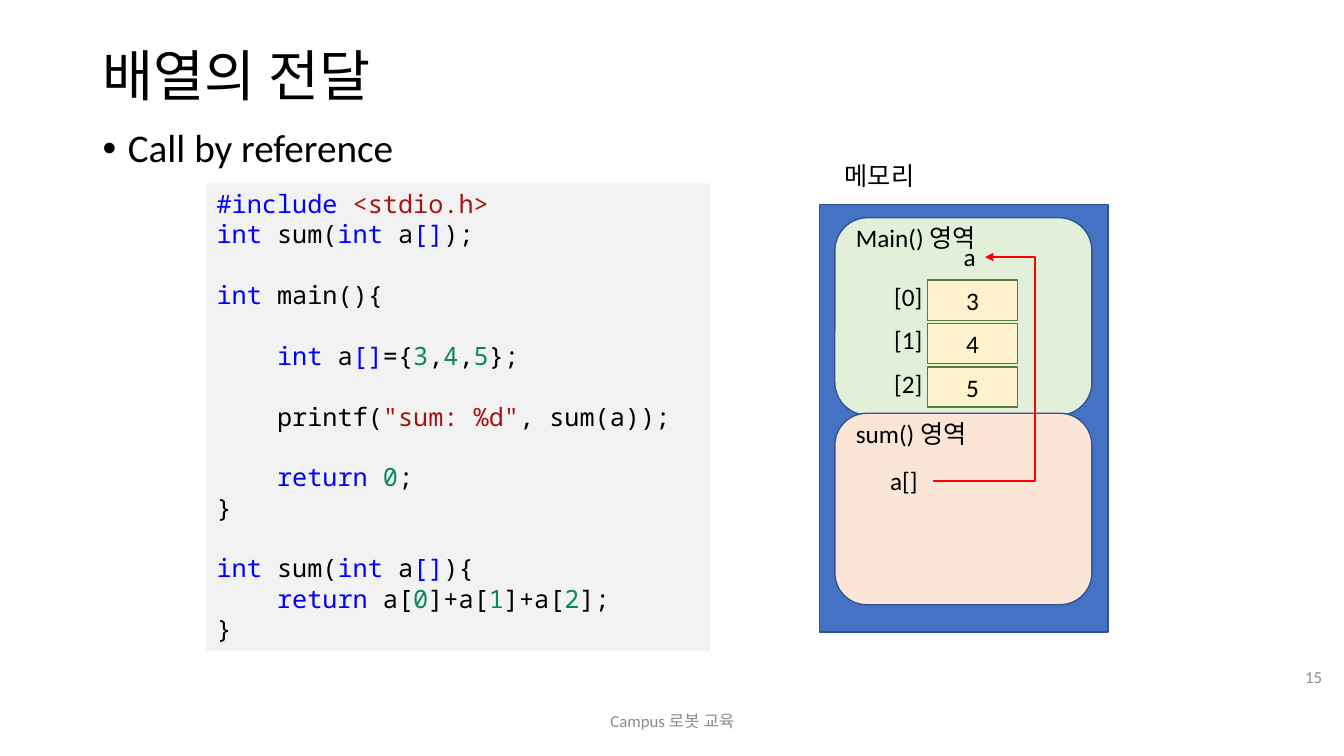
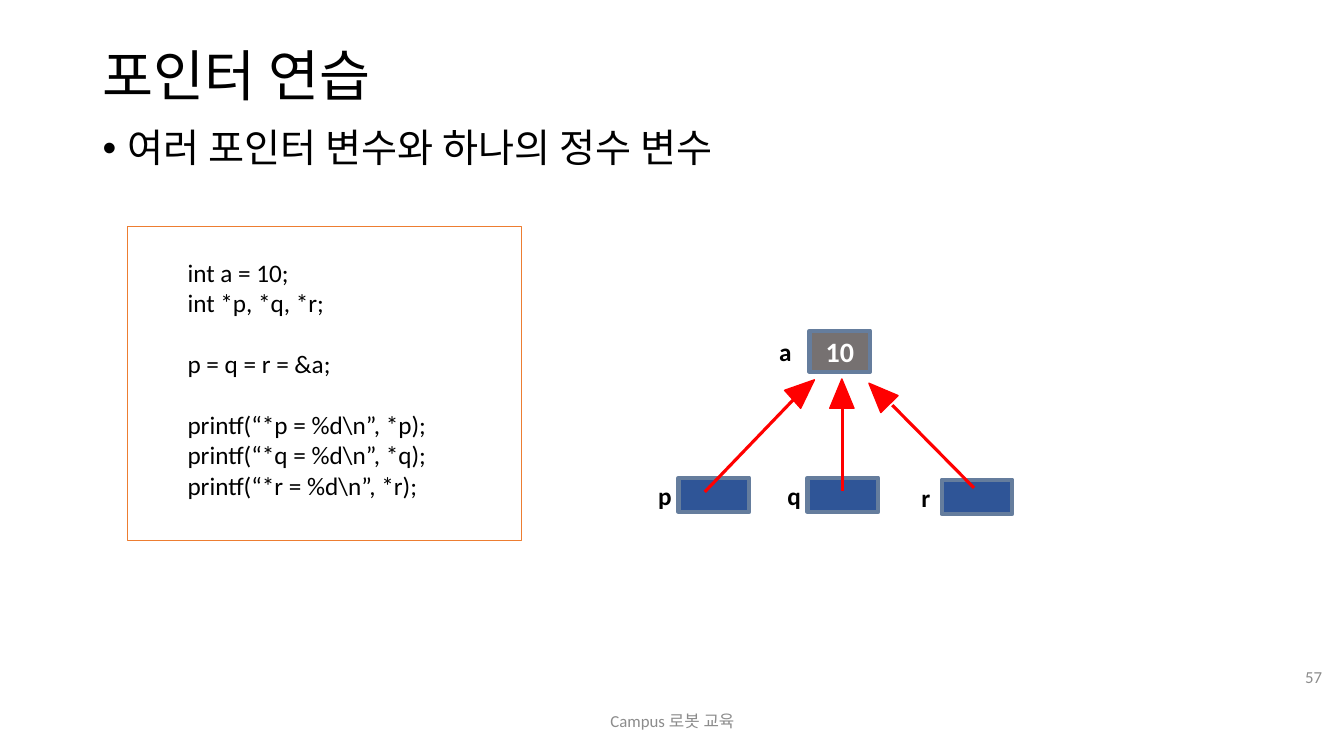
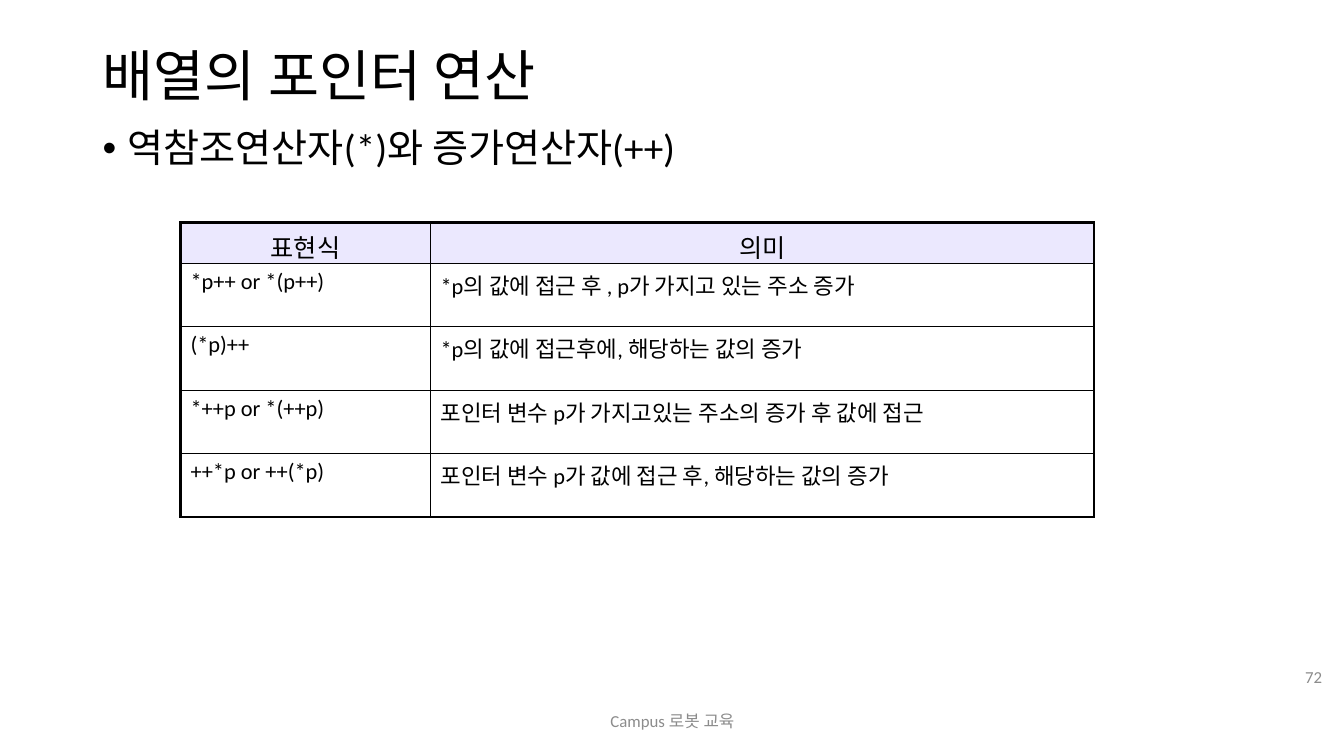
from lxml import etree
from pptx import Presentation
from pptx.dml.color import RGBColor
from pptx.enum.shapes import MSO_CONNECTOR, MSO_SHAPE
from pptx.enum.text import MSO_ANCHOR, PP_ALIGN
from pptx.oxml.ns import qn
from pptx.util import Inches, Pt

LEFT, CENTER, RIGHT = PP_ALIGN.LEFT, PP_ALIGN.CENTER, PP_ALIGN.RIGHT
TOP, MIDDLE = MSO_ANCHOR.TOP, MSO_ANCHOR.MIDDLE
RECT, ROUND = MSO_SHAPE.RECTANGLE, MSO_SHAPE.ROUNDED_RECTANGLE
TRIANGLE = MSO_SHAPE.ISOSCELES_TRIANGLE
STRAIGHT, ELBOW = MSO_CONNECTOR.STRAIGHT, MSO_CONNECTOR.ELBOW

FONT, MONO = "Calibri", "Noto Sans Mono"
BLACK, WHITE, GRAY, RED = "000000", "FFFFFF", "8C8C8C", "FF0000"
NAVY, STEEL = "325491", "657D9D"
KEYWORD, STRING, NUMBER = "0000FF", "A31515", "09885A"
FOOTER = "Campus 로봇 교육"
LINE_GAP = 21.8

TOKENS = {
    "#include": KEYWORD, "int": KEYWORD, "return": KEYWORD, "[]": KEYWORD,
    "<stdio.h>": STRING, '"sum: %d"': STRING,
    **{digit: NUMBER for digit in "012345"},
}
SUM_CODE = [
    (0, 0, "#include ~<stdio.h>"),
    (0, 0, "int~ sum(~int~ a~[]~);"),
    (1, 0, "int~ main(){"),
    (1, 1, "int~ a~[]~={~3~,~4~,~5~};"),
    (1, 1, 'printf(~"sum: %d"~, sum(a));'),
    (1, 1, "return ~0~;"),
    (0, 0, "}"),
    (1, 0, "int~ sum(~int~ a~[]~){"),
    (0, 1, "return~ a[~0~]+a[~1~]+a[~2~];"),
    (0, 0, "}"),
]
POINTER_CODE = [
    (0, "int a = 10;"),
    (0, "int *p, *q, *r;"),
    (1, "p = q = r = &a;"),
    (1, "printf(“*p = %d\\n”, *p);"),
    (0, "printf(“*q = %d\\n”, *q);"),
    (0, "printf(“*r = %d\\n”, *r);"),
]
POINTERS = [
    ("p", (0.3, 1.46), (0.56, 1.6), (1.54, 0.58), (1.42, 0.44), 48.2),
    ("q", (1.58, 1.46), (1.93, 1.59), (1.93, 0.69), (1.8, 0.48), 0),
    ("r", (2.91, 1.48), (3.23, 1.56), (2.42, 0.74), (2.17, 0.48), 315.5),
]
EXPRESSIONS = [
    ("표현식", "의미"),
    ("*p++ or *(p++)", "*p의 값에 접근 후 , p가 가지고 있는 주소 증가"),
    ("(*p)++", "*p의 값에 접근후에, 해당하는 값의 증가"),
    ("*++p or *(++p)", "포인터 변수 p가 가지고있는 주소의 증가 후 값에 접근"),
    ("++*p or ++(*p)", "포인터 변수 p가 값에 접근 후, 해당하는 값의 증가"),
]


def rgb(value):
    """Turn a hex string into a colour."""
    return RGBColor.from_string(value)


def style(r, size, color=BLACK, bold=False, font=FONT):
    """Format one run."""
    r.font.size, r.font.bold, r.font.name = Pt(size), bold, font
    r.font.color.rgb = rgb(color)


def write(tf, text, size, color=BLACK, bold=False, align=LEFT, anchor=TOP):
    """Put one formatted paragraph in a text frame and return it."""
    tf.text, tf.word_wrap, tf.vertical_anchor = text, True, anchor
    p = tf.paragraphs[0]
    p.alignment = align
    style(p.runs[0], size, color, bold)
    return p


def label(s, x, y, w, h, text, size=18, **look):
    """Add a text box with one paragraph."""
    sp = s.shapes.add_textbox(Inches(x), Inches(y), Inches(w), Inches(h))
    return write(sp.text_frame, text, size, **look)


def shape(s, kind, x, y, w, h, fill=None, line=None, width=1):
    """Add a flat preset shape."""
    sp = s.shapes.add_shape(kind, Inches(x), Inches(y), Inches(w), Inches(h))
    sp.shadow.inherit = False
    if fill:
        sp.fill.solid()
        sp.fill.fore_color.rgb = rgb(fill)
    else:
        sp.fill.background()
    if line:
        sp.line.color.rgb = rgb(line)
        sp.line.width = Pt(width)
    else:
        sp.line.fill.background()
    return sp


def connect(s, kind, start, end, width):
    """Add a red connector between two points."""
    c = s.shapes.add_connector(kind, *(Inches(v) for v in (*start, *end)))
    c.line.color.rgb = rgb(RED)
    c.line.width = Pt(width)
    etree.SubElement(c._element.spPr, qn("a:effectLst"))
    return c


def base_slide(prs, title, topic, number):
    """Add a slide with its title, bullet, footer and page number."""
    s = prs.slides.add_slide(prs.slide_layouts[6])
    label(s, 0.92, 0.4, 11.5, 0.75, title, 39.6, anchor=MIDDLE).line_spacing = 0.9
    p = label(s, 0.92, 1.23, 11.5, 5.53, topic, 28)
    p.line_spacing, p.space_before = 0.9, Pt(10)
    pPr = p._p.get_or_add_pPr()
    pPr.set("marL", str(Inches(0.25)))
    pPr.set("indent", str(Inches(-0.25)))
    etree.SubElement(pPr, qn("a:buFont")).set("typeface", "Arial")
    etree.SubElement(pPr, qn("a:buChar")).set("char", "•")
    label(s, 4.42, 6.95, 4.5, 0.4, FOOTER, 12, color=GRAY, align=CENTER, anchor=MIDDLE)
    label(s, 12.59, 6.51, 0.62, 0.4, str(number), 12, color=GRAY, align=RIGHT, anchor=MIDDLE)
    return s


def code_panel(s, x, y, w, h):
    """Draw the highlighted listing of the sum program."""
    tf = shape(s, RECT, x, y, w, h, "F2F2F2").text_frame
    tf.word_wrap, tf.vertical_anchor = True, TOP
    for i, (gap, level, code) in enumerate(SUM_CODE):
        p = tf.add_paragraph() if i else tf.paragraphs[0]
        p.alignment, p.space_before = LEFT, Pt(gap * LINE_GAP)
        p._p.get_or_add_pPr().set("marL", str(Inches(0.6 * level)))
        for piece in code.split("~"):
            r = p.add_run()
            r.text = piece
            style(r, 18, TOKENS.get(piece.strip(), BLACK), font=MONO)


def memory_map(s, x, y, w, h):
    """Draw memory with the regions of both functions and the reference."""
    label(s, x + 0.15, y - 0.49, 1.1, 0.4, "메모리")
    shape(s, RECT, x, y, w, h, "4472C4", NAVY)
    for name, top, height, fill in (("Main() 영역", 0.13, 1.96, "E2F0D9"),
                                    ("sum() 영역", 2.07, 1.9, "FBE5D6")):
        shape(s, ROUND, x + 0.15, y + top, w - 0.31, height, fill, NAVY)
        label(s, x + 0.26, y + top, 2, 0.4, name)
    label(s, x + 1.33, y + 0.31, 0.31, 0.41, "a")
    for i, value in enumerate("345"):
        top = y + 0.75 + 0.43 * i
        cell = shape(s, RECT, x + 1.07, top, 0.89, 0.4, "FFF2CC", "538035")
        write(cell.text_frame, value, 18, align=CENTER, anchor=MIDDLE)
        label(s, x + 0.64, top - 0.04, 0.53, 0.4, f"[{i}]")
    label(s, x + 0.6, y + 2.54, 0.51, 0.4, "a[]")
    c = connect(s, ELBOW, (x + 1.64, y + 0.52), (x + 1.12, y + 2.74), 1.5)
    guide = etree.SubElement(c._element.spPr.prstGeom.get_or_add_avLst(), qn("a:gd"))
    guide.set("name", "adj1")
    guide.set("fmla", "val -96000")
    etree.SubElement(c.line._get_or_add_ln(), qn("a:headEnd")).set("type", "triangle")


def pointer_code(s, x, y, w, h):
    """Draw the framed pointer listing."""
    tf = shape(s, RECT, x, y, w, h, line="ED7D31", width=0.5).text_frame
    tf.word_wrap, tf.vertical_anchor = True, TOP
    tf.margin_left, tf.margin_top = Inches(0.6), Inches(0.3)
    for i, (gap, code) in enumerate(POINTER_CODE):
        p = tf.add_paragraph() if i else tf.paragraphs[0]
        p.text, p.alignment, p.space_before = code, LEFT, Pt(gap * 22)
        style(p.runs[0], 18)


def pointer_diagram(s, x, y):
    """Draw three pointers aimed at one variable."""
    target = shape(s, RECT, x + 1.6, y, 0.6, 0.41, "767171", STEEL, 3)
    write(target.text_frame, "10", 20, WHITE, True, CENTER, MIDDLE)
    target.text_frame.margin_left = target.text_frame.margin_right = 0
    label(s, x + 1.2, y + 0.01, 0.81, 0.4, "a", bold=True)
    for name, (left, top), start, end, (hx, hy), angle in POINTERS:
        shape(s, RECT, x + left, y + top, 0.7, 0.34, "2F5597", STEEL, 3)
        label(s, x + left - 0.3, y + top - 0.02, 0.81, 0.4, name, bold=True)
        connect(s, STRAIGHT, (x + start[0], y + start[1]), (x + end[0], y + end[1]), 2.25)
        shape(s, TRIANGLE, x + hx, y + hy, 0.24, 0.29, RED, RED).rotation = angle


def border(cell, sides):
    """Draw the borders of a cell from a side to width mapping."""
    tcPr = cell._tc.get_or_add_tcPr()
    for i, (side, width) in enumerate(sides.items()):
        ln = etree.Element(qn(f"a:ln{side}"), w=str(Pt(width)))
        fill = etree.SubElement(ln, qn("a:solidFill"))
        etree.SubElement(fill, qn("a:srgbClr")).set("val", BLACK)
        tcPr.insert(i, ln)


def expression_table(s, x, y, w, h):
    """Draw the table of expressions with a thick outer frame."""
    rows, cols = len(EXPRESSIONS), len(EXPRESSIONS[0])
    table = s.shapes.add_table(rows, cols, Inches(x), Inches(y), Inches(w), Inches(h)).table
    table.columns[0].width, table.columns[1].width = Inches(2.48), Inches(w - 2.48)
    for i, texts in enumerate(EXPRESSIONS):
        table.rows[i].height = Inches(0.63 if i else 0.4)
        for j, text in enumerate(texts):
            cell = table.cell(i, j)
            write(cell.text_frame, text, 16 if i else 18, align=LEFT if i else CENTER)
            cell.fill.solid()
            cell.fill.fore_color.rgb = rgb(WHITE if i else "EBE8FE")
            outer = {"L": j == 0, "R": j == cols - 1, "T": i == 0, "B": i == rows - 1}
            border(cell, {side: 2.25 if edge else 1 for side, edge in outer.items()})


def main():
    """Build and save the slides."""
    prs = Presentation()
    prs.slide_width, prs.slide_height = Inches(13.33), Inches(7.5)
    s = base_slide(prs, "배열의 전달", "Call by reference", 15)
    memory_map(s, 8.13, 2.03, 2.86, 4.24)
    code_panel(s, 2.05, 1.82, 4.99, 4.64)
    s = base_slide(prs, "포인터 연습", "여러 포인터 변수와 하나의 정수 변수", 57)
    pointer_diagram(s, 6.43, 3.28)
    pointer_code(s, 1.26, 2.25, 3.91, 3.11)
    s = base_slide(prs, "배열의 포인터 연산", "역참조연산자(*)와 증가연산자(++)", 72)
    expression_table(s, 1.79, 2.21, 9.06, 2.93)
    prs.save("out.pptx")


main()
